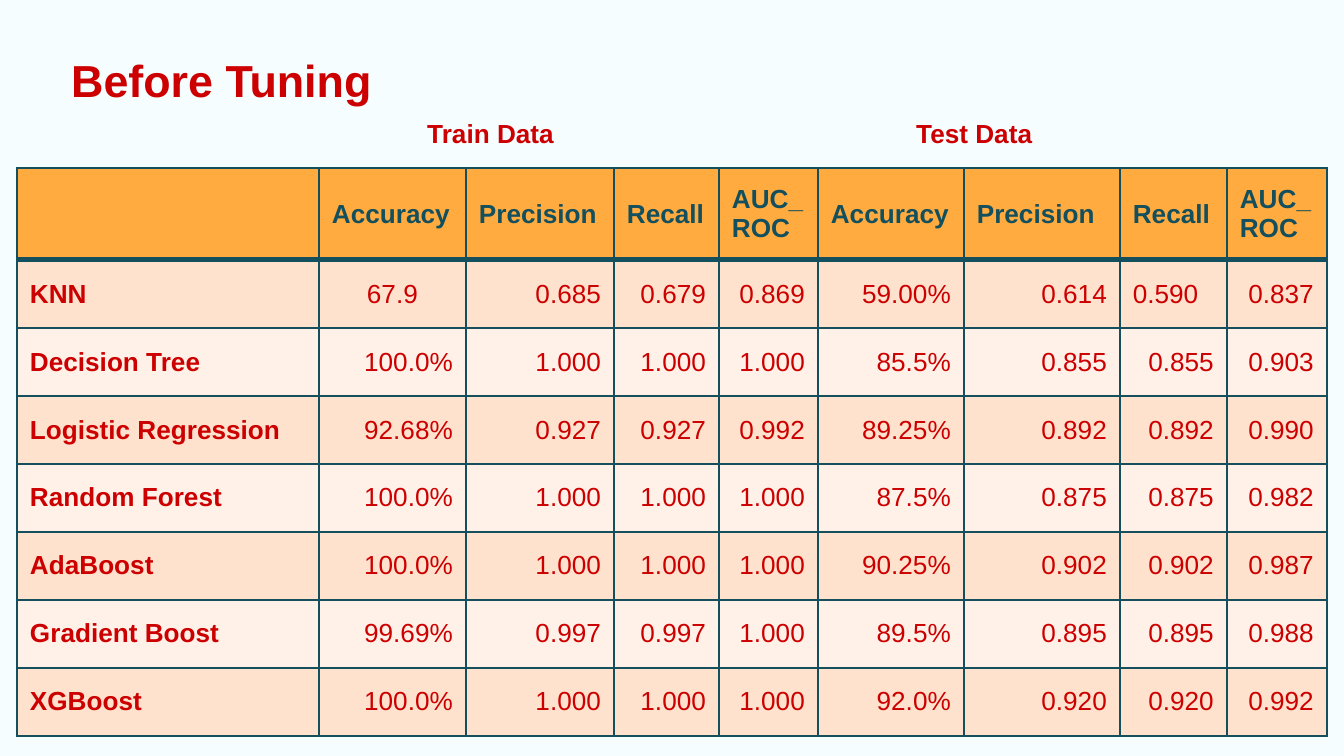
import lxml.etree
import pptx
import pptx.dml.color
import pptx.enum.text
import pptx.oxml.ns
import pptx.util

WIDE, HIGH = 1344, 756
SCALE = 10 * 914400 / WIDE
ALIGN = pptx.enum.text.PP_ALIGN
PAPER, RED, TEAL, GOLD = "F5FDFF", "CC0000", "134F5C", "FFAB40"
BANDS = ["FFE2CD", "FFF1E8"]

LABELS = [  # text, left, top, width, height, size
    ("Train Data", 414, 111, 232, 46, 14),
    ("Test Data", 903, 111, 232, 46, 14),
    ("Before Tuning", 58, 46, 634, 67, 24),
]
HEADS = ["", "Accuracy", "Precision", "Recall", "AUC_ ROC",
         "Accuracy", "Precision", "Recall", "AUC_ROC"]
MODELS = [
    ("KNN", "67.9", "0.685", "0.679", "0.869", "59.00%", "0.614", "0.590", "0.837"),
    ("Decision Tree", "100.0%", "1.000", "1.000", "1.000", "85.5%", "0.855", "0.855", "0.903"),
    ("Logistic Regression", "92.68%", "0.927", "0.927", "0.992", "89.25%", "0.892", "0.892", "0.990"),
    ("Random Forest", "100.0%", "1.000", "1.000", "1.000", "87.5%", "0.875", "0.875", "0.982"),
    ("AdaBoost", "100.0%", "1.000", "1.000", "1.000", "90.25%", "0.902", "0.902", "0.987"),
    ("Gradient Boost", "99.69%", "0.997", "0.997", "1.000", "89.5%", "0.895", "0.895", "0.988"),
    ("XGBoost", "100.0%", "1.000", "1.000", "1.000", "92.0%", "0.920", "0.920", "0.992"),
]
ODD = {(1, 1): ALIGN.CENTER, (1, 7): ALIGN.LEFT}  # cells not set right
COLS = [302, 147, 148, 105, 99, 146, 156, 107, 100]
ROWS = [92] + [68] * len(MODELS)
LEFT, TOP = 17, 168
SIDE, CAP = 13, 7  # cell margins


def px(size):
    return pptx.util.Emu(round(size * SCALE))


def tint(code):
    return pptx.dml.color.RGBColor.from_string(code)


def write(frame, text, size=14, color=RED, bold=True, align=ALIGN.LEFT):
    frame.word_wrap = True
    para = frame.paragraphs[0]
    para.alignment = align
    font = para.font
    if text:
        run = para.add_run()
        run.text = text
        font = run.font
    font.name, font.size, font.bold = "Arial", pptx.util.Pt(size), bold
    font.color.rgb = tint(color)


def edge(cell, side, width):
    """Draw one border; call before the cell gets its fill."""
    qn = pptx.oxml.ns.qn
    props = cell._tc.get_or_add_tcPr()
    line = lxml.etree.SubElement(props, qn("a:ln" + side), w=str(pptx.util.Pt(width)))
    fill = lxml.etree.SubElement(line, qn("a:solidFill"))
    lxml.etree.SubElement(fill, qn("a:srgbClr"), val=TEAL)


def style(cell, row, col, text):
    thick = {(0, "B"), (1, "T")}  # the rule under the header
    for side in "LRTB":
        edge(cell, side, 3 if (row, side) in thick else 1)
    cell.fill.solid()
    cell.fill.fore_color.rgb = tint(BANDS[(row - 1) % 2] if row else GOLD)
    cell.vertical_anchor = pptx.enum.text.MSO_ANCHOR.MIDDLE
    cell.margin_left = cell.margin_right = px(SIDE)
    cell.margin_top = cell.margin_bottom = px(CAP)
    base = ALIGN.RIGHT if row and col else ALIGN.LEFT
    write(cell.text_frame, text, color=RED if row else TEAL,
          bold=not (row and col), align=ODD.get((row, col), base))


def main():
    deck = pptx.Presentation()
    deck.slide_width, deck.slide_height = px(WIDE), px(HIGH)
    slide = deck.slides.add_slide(deck.slide_layouts[6])
    slide.background.fill.solid()
    slide.background.fill.fore_color.rgb = tint(PAPER)

    frame = slide.shapes.add_table(len(ROWS), len(COLS), px(LEFT), px(TOP),
                                   px(sum(COLS)), px(sum(ROWS)))
    table = frame.table
    table.horz_banding = table.first_row = False
    for col, width in zip(table.columns, COLS):
        col.width = px(width)
    for row, height in zip(table.rows, ROWS):
        row.height = px(height)
    for row, texts in enumerate([HEADS, *MODELS]):
        for col, text in enumerate(texts):
            style(table.cell(row, col), row, col, text)

    for text, left, top, width, height, size in LABELS:
        box = slide.shapes.add_textbox(px(left), px(top), px(width), px(height))
        write(box.text_frame, text, size=size)

    deck.save("out.pptx")


if __name__ == "__main__":
    main()
